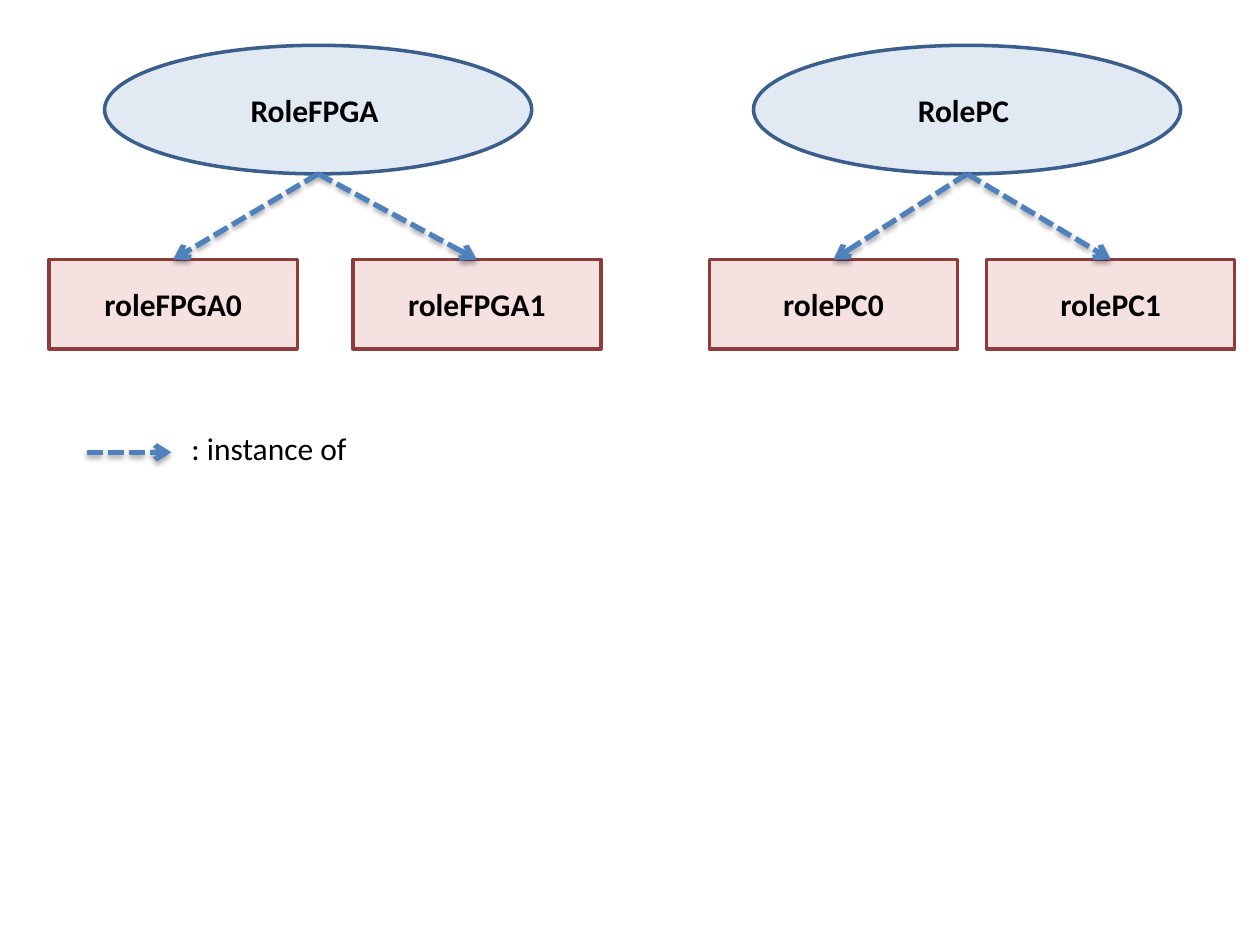
import pptx
import pptx.util
import pptx.dml.color
import pptx.enum.dml
import pptx.enum.shapes
import pptx.enum.text
import pptx.oxml.ns
import lxml.etree

Inches, Pt = pptx.util.Inches, pptx.util.Pt
RGB = pptx.dml.color.RGBColor.from_string
Kind = pptx.enum.shapes.MSO_SHAPE
qn = pptx.oxml.ns.qn
add = lxml.etree.SubElement

theme = {
    "role": {"fill": "4F81BD", "line": "3A5F8C"},
    "item": {"fill": "C0504D", "line": "8E3B39"},
    "alpha": "17000",
    "edge": Pt(2),
    "arrow": {"color": "4F81BD", "width": Pt(3)},
    "shade": {"blurRad": str(Pt(3.1)), "dist": str(Pt(1.8)),
              "dir": "5400000", "rotWithShape": "0"},
    "font": {"name": "Calibri", "size": Pt(18)},
    "ink": "000000",
}

deck = pptx.Presentation()
deck.slide_width, deck.slide_height = Inches(10), Inches(7.5)
slide = deck.slides.add_slide(deck.slide_layouts[6])


def label(shape, text, bold):
    """Write one line of text in a shape."""
    para = shape.text_frame.paragraphs[0]
    run = para.add_run()
    run.text = text
    for key, val in {**theme["font"], "bold": bold}.items():
        setattr(run.font, key, val)
    run.font.color.rgb = RGB(theme["ink"])
    return para


def arrow(x1, y1, x2, y2):
    """Draw a dashed arrow with a soft shadow."""
    link = slide.shapes.add_connector(
        pptx.enum.shapes.MSO_CONNECTOR.STRAIGHT,
        Inches(x1), Inches(y1), Inches(x2), Inches(y2))
    link.line.color.rgb = RGB(theme["arrow"]["color"])
    link.line.width = theme["arrow"]["width"]
    link.line.dash_style = pptx.enum.dml.MSO_LINE.SQUARE_DOT
    props = link._element.spPr
    add(props.find(qn("a:ln")), qn("a:tailEnd"), type="arrow")
    glow = add(add(props, qn("a:effectLst")), qn("a:outerShdw"), theme["shade"])
    tint = add(glow, qn("a:srgbClr"), val="000000")
    add(tint, qn("a:alpha"), val="35000")
    return link


# Roles and their instances: text, kind, style, left, top, width, height
role_top, role_w, role_h = 0.36, 3.39, 1.02
item_top, item_w, item_h = 2.06, 1.97, 0.71
nodes = [(text, Kind.OVAL, "role", left, role_top, role_w, role_h)
         for text, left in [("RoleFPGA ", 0.83), ("RolePC ", 5.98)]]
nodes += [(text, Kind.RECTANGLE, "item", left, item_top, item_w, item_h)
          for text, left in [("roleFPGA0", 0.39), ("roleFPGA1", 2.8),
                             ("rolePC0", 5.63), ("rolePC1", 7.83)]]
shapes = []
for text, kind, style, left, top, wide, high in nodes:
    shape = slide.shapes.add_shape(
        kind, Inches(left), Inches(top), Inches(wide), Inches(high))
    shape.shadow.inherit = False
    shape.fill.solid()
    shape.fill.fore_color.rgb = RGB(theme[style]["fill"])
    tint = shape._element.spPr.find(qn("a:solidFill")).find(qn("a:srgbClr"))
    add(tint, qn("a:alpha"), val=theme["alpha"])
    shape.line.color.rgb = RGB(theme[style]["line"])
    shape.line.width = theme["edge"]
    shape.text_frame.vertical_anchor = pptx.enum.text.MSO_ANCHOR.MIDDLE
    para = label(shape, text, True)
    para.alignment = pptx.enum.text.PP_ALIGN.CENTER
    shapes.append(shape)

# Arrows from the foot of each role to the top of its two instances
for num, item in enumerate(shapes[2:]):
    left = nodes[num // 2][3]
    link = arrow(left + role_w / 2, role_top + role_h,
                 nodes[num + 2][3] + item_w / 2, item_top)
    link.end_connect(item, 0)

# Legend
arrow(0.69, 3.59, 1.36, 3.59)
note = slide.shapes.add_textbox(
    Inches(1.42), Inches(3.36), Inches(1.69), Inches(0.4))
note.text_frame.word_wrap = True
label(note, ": instance of", False)

deck.save("out.pptx")
